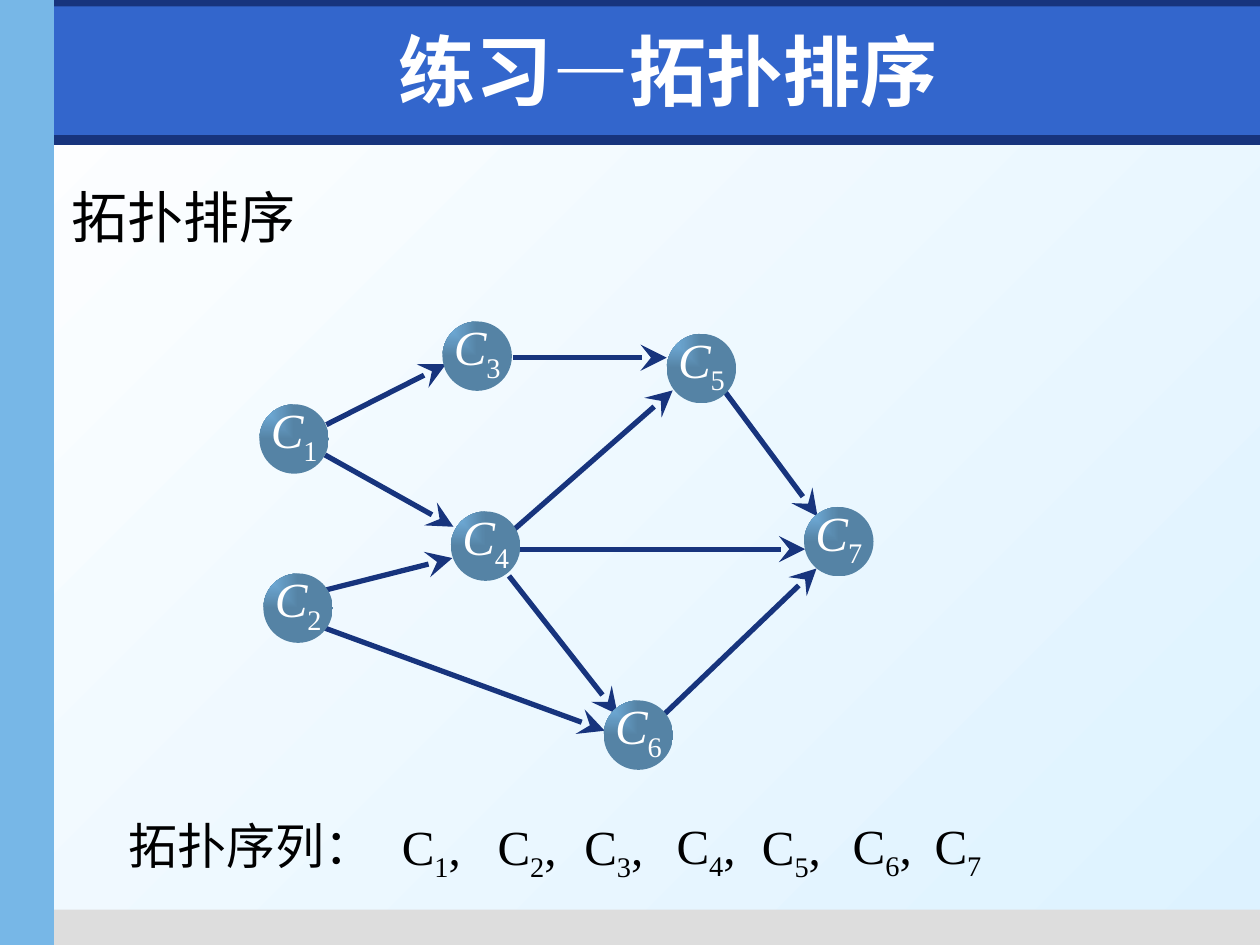
"""Build a slide with a topological sorting exercise on a seven-node graph."""
from dataclasses import dataclass

import lxml.etree
import pptx
import pptx.dml.color
import pptx.enum.shapes
import pptx.enum.text
import pptx.oxml.ns
import pptx.slide
import pptx.text.text
import pptx.util

Cm = pptx.util.Cm
COLORS = {
    "navy": "17347D", "blue": "3366CC", "sky": "77B7E7", "steel": "5583A5",
    "grey": "DDDDDD", "pale": "DDF2FF", "white": "FFFFFF", "black": "000000",
}
SERIF = "Times New Roman"
NODE_SIZE = 1.4


@dataclass
class Area:
    left: float
    top: float
    width: float
    height: float

    def lengths(self) -> list[int]:
        return [Cm(value) for value in (self.left, self.top, self.width, self.height)]


@dataclass
class Band:
    area: Area
    color: str


@dataclass
class Node:
    number: int
    left: float
    top: float


@dataclass
class Edge:
    start_x: float
    start_y: float
    end_x: float
    end_y: float


@dataclass
class Term:
    number: int
    left: float
    top: float
    ending: str = ","


BANDS = [
    Band(Area(0, 2.72, 25.4, 0.2), "navy"),
    Band(Area(0.89, 18.34, 24.51, 0.71), "grey"),
    Band(Area(0, 0, 25.4, 0.53), "navy"),
    Band(Area(1.09, 0.13, 24.31, 2.59), "blue"),
    Band(Area(0, 0, 1.09, 19.05), "sky"),
]
NODES = [
    Node(1, 5.23, 8.15), Node(2, 5.31, 11.56), Node(3, 8.92, 6.48),
    Node(4, 9.09, 10.31), Node(5, 13.44, 6.73), Node(6, 12.17, 14.12),
    Node(7, 16.21, 10.22),
]
EDGES = [
    Edge(6.58, 8.56, 8.99, 7.34), Edge(6.55, 9.17, 9.14, 10.62),
    Edge(6.38, 12.6, 12.19, 14.73), Edge(6.58, 11.89, 9.12, 11.25),
    Edge(10.34, 7.21, 13.44, 7.21), Edge(10.31, 10.72, 13.56, 7.87),
    Edge(10.26, 11.61, 12.45, 14.4), Edge(10.39, 11.07, 16.23, 11.07),
    Edge(13.39, 14.4, 16.46, 11.46), Edge(14.58, 7.85, 16.48, 10.41),
]
TERMS = [
    Term(1, 7.85, 16.33), Term(2, 9.78, 16.33), Term(3, 11.53, 16.33),
    Term(4, 13.39, 16.31), Term(5, 15.11, 16.33), Term(6, 16.94, 16.31),
    Term(7, 18.59, 16.31, ""),
]


def rgb(name: str) -> pptx.dml.color.RGBColor:
    return pptx.dml.color.RGBColor.from_string(COLORS[name])


def add_element(parent, tag: str, **attributes: str):
    return lxml.etree.SubElement(parent, pptx.oxml.ns.qn(tag), **attributes)


def set_font(para, size: float, color: str, name: str = SERIF) -> None:
    para.font.size = pptx.util.Pt(size)
    para.font.name = name
    para.font.color.rgb = rgb(color)


def set_gradient(fill, first: str, last: str) -> None:
    fill.gradient()
    for stop, color in zip(fill.gradient_stops, (first, last)):
        stop.color.rgb = rgb(color)


def add_band(page: pptx.slide.Slide, band: Band) -> None:
    shape = page.shapes.add_shape(
        pptx.enum.shapes.MSO_SHAPE.RECTANGLE, *band.area.lengths())
    shape.shadow.inherit = False
    shape.fill.solid()
    shape.fill.fore_color.rgb = rgb(band.color)
    shape.line.fill.background()


def add_text(page: pptx.slide.Slide, area: Area, size: float, color: str,
             text: str = "") -> pptx.text.text.TextFrame:
    frame = page.shapes.add_textbox(*area.lengths()).text_frame
    frame.word_wrap = True
    para = frame.paragraphs[0]
    set_font(para, size, color)
    if text:
        para.add_run().text = text
    return frame


def add_symbol(para, number: int, italic: bool = False) -> None:
    letter = para.add_run()
    letter.text = "C"
    letter.font.italic = italic
    index = para.add_run()
    index.text = str(number)
    index.font._element.set("baseline", "-25000")


def add_edge(page: pptx.slide.Slide, edge: Edge) -> None:
    arrow = page.shapes.add_connector(
        pptx.enum.shapes.MSO_CONNECTOR.STRAIGHT,
        Cm(edge.start_x), Cm(edge.start_y), Cm(edge.end_x), Cm(edge.end_y))
    arrow.line.color.rgb = rgb("navy")
    arrow.line.width = pptx.util.Pt(3)
    add_element(arrow.line._get_or_add_ln(), "a:tailEnd",
                type="stealth", w="lg", len="lg")
    add_element(arrow._element.spPr, "a:effectLst")


def add_node(page: pptx.slide.Slide, node: Node) -> None:
    circle = page.shapes.add_shape(
        pptx.enum.shapes.MSO_SHAPE.OVAL,
        *Area(node.left, node.top, NODE_SIZE, NODE_SIZE).lengths())
    circle.shadow.inherit = False
    circle.line.fill.background()
    set_gradient(circle.fill, "sky", "steel")
    gradient = circle._element.spPr.find(pptx.oxml.ns.qn("a:gradFill"))
    gradient.remove(gradient.find(pptx.oxml.ns.qn("a:lin")))
    focus = add_element(gradient, "a:path", path="rect")
    add_element(focus, "a:fillToRect", r="100000", b="100000")

    area = Area(node.left + 0.18, node.top - 0.14, 1.3, 1.65)
    frame = add_text(page, area, 28, "white")
    frame.margin_left = frame.margin_top = Cm(0.05)
    frame.margin_right = 0
    frame.margin_bottom = Cm(0.03)
    para = frame.paragraphs[0]
    para.alignment = pptx.enum.text.PP_ALIGN.JUSTIFY
    add_symbol(para, node.number, italic=True)


def add_term(page: pptx.slide.Slide, term: Term) -> None:
    area = Area(term.left, term.top, 2.06, 1.45)
    para = add_text(page, area, 28, "black").paragraphs[0]
    add_symbol(para, term.number)
    if term.ending:
        para.add_run().text = term.ending


def place_title(page: pptx.slide.Slide, text: str) -> None:
    title = page.shapes.title
    title.left, title.top, title.width, title.height = Area(
        5.11, 0.33, 16.71, 2.13).lengths()
    page.shapes._spTree.append(title._element)
    frame = title.text_frame
    frame.auto_size = pptx.enum.text.MSO_AUTO_SIZE.NONE
    frame.vertical_anchor = pptx.enum.text.MSO_ANCHOR.MIDDLE
    para = frame.paragraphs[0]
    para.alignment = pptx.enum.text.PP_ALIGN.CENTER
    set_font(para, 44, "white", "DejaVu Sans")
    para.font.bold = True
    span = para.add_run()
    span.text = text
    effects = add_element(span.font._element, "a:effectLst")
    shadow = add_element(effects, "a:outerShdw", dist="38100", dir="2700000")
    add_element(shadow, "a:srgbClr", val=COLORS["grey"])


def main() -> None:
    deck = pptx.Presentation()
    deck.slide_width, deck.slide_height = Cm(25.4), Cm(19.05)
    page = deck.slides.add_slide(deck.slide_layouts[5])
    set_gradient(page.background.fill, "white", "pale")
    page.background.fill.gradient_angle = 315
    for band in BANDS:
        add_band(page, band)
    add_text(page, Area(1.19, 3.56, 16.54, 1.6), 32, "black", "拓扑排序")
    for edge in EDGES:
        add_edge(page, edge)
    for node in NODES:
        add_node(page, node)
    add_text(page, Area(2.34, 16.31, 6.1, 1.45), 28, "black", "拓扑序列：")
    for term in TERMS:
        add_term(page, term)
    place_title(page, "练习—拓扑排序")
    deck.save("out.pptx")


if __name__ == "__main__":
    main()
